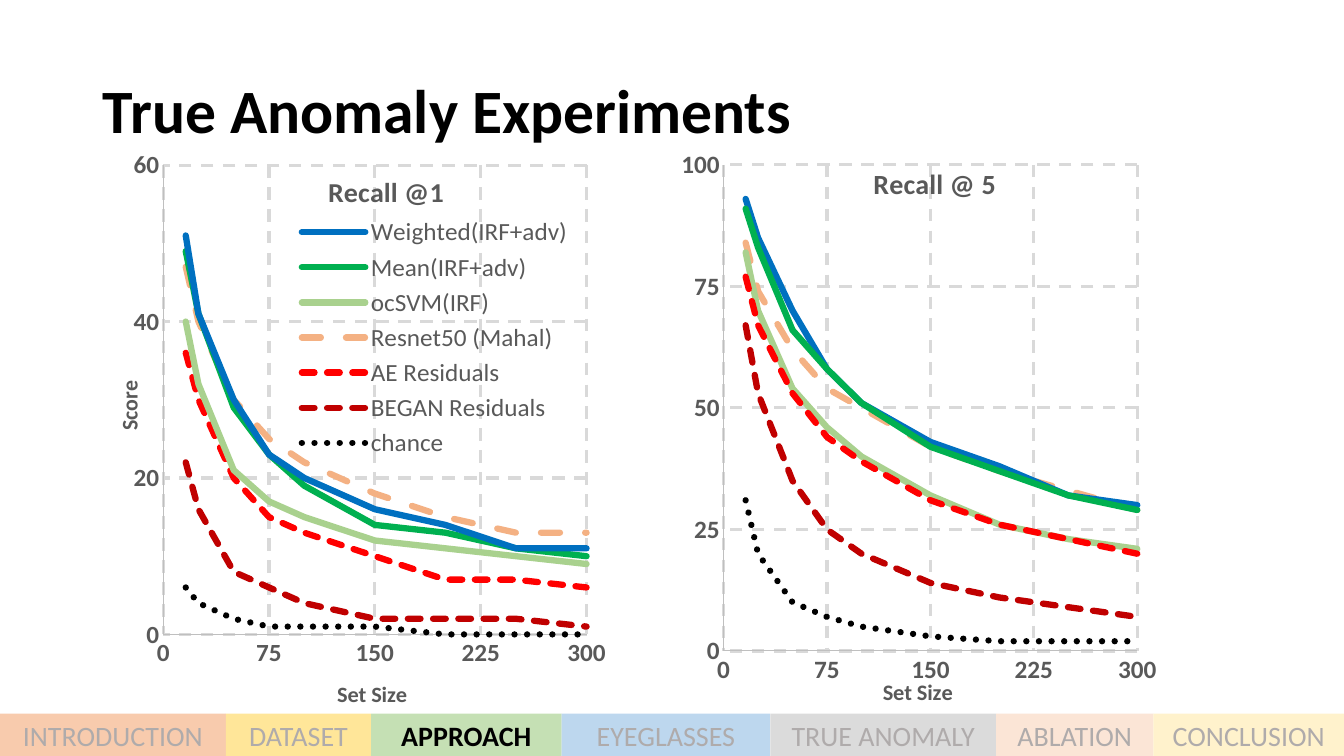
"""Build the "True Anomaly Experiments" slide with two recall charts and a section bar."""
from dataclasses import dataclass

from lxml import etree
from pptx import Presentation
from pptx import util as u
from pptx.chart.data import XyChartData
from pptx.dml.color import RGBColor
from pptx.enum import chart as charts, dml, shapes, text
from pptx.oxml.ns import qn


@dataclass(frozen=True)
class Theme:
    font: str = "Calibri"
    black: str = "000000"
    muted: str = "AFABAB"
    label: str = "595959"
    axis: str = "BFBFBF"
    grid: str = "D9D9D9"
    title_size: int = 44
    section_size: int = 20
    chart_title_size: int = 20
    axis_title_size: int = 16
    label_size: int = 18
    curve_width: float = 4.5
    grid_width: float = 2.25
    axis_width: float = 0.75


theme = Theme()


def style_font(font, size, color, bold=False):
    font.name = theme.font
    font.size = u.Pt(size)
    font.bold = bold
    font.color.rgb = RGBColor.from_string(color)


def set_layout(element, index, **settings):
    layout = element.find(qn("c:layout"))
    if layout is None:
        layout = etree.Element(qn("c:layout"))
        element.insert(index, layout)
    manual = etree.SubElement(layout, qn("c:manualLayout"))
    for name, value in settings.items():
        etree.SubElement(manual, qn(f"c:{name}")).set("val", str(value))


set_sizes = [16, 25, 50, 75, 100, 150, 200, 250, 300]
curve_styles = {
    "Weighted(IRF+adv)": ("0070C0", None),
    "Mean(IRF+adv)": ("00B050", None),
    "ocSVM(IRF)": ("A9D18E", None),
    "Resnet50 (Mahal)": ("F4B183", dml.MSO_LINE.DASH),
    "AE Residuals": ("FF0000", dml.MSO_LINE.SQUARE_DOT),
    "BEGAN Residuals": ("C00000", dml.MSO_LINE.SQUARE_DOT),
    "chance": (theme.black, dml.MSO_LINE.ROUND_DOT),
}
recall_at_5 = {
    "chance": [31, 20, 10, 7, 5, 3, 2, 2, 2],
    "AE Residuals": [77, 67, 53, 44, 39, 31, 26, 23, 20],
    "BEGAN Residuals": [67, 53, 35, 25, 20, 14, 11, 9, 7],
    "Mean(IRF+adv)": [91, 83, 66, 58, 51, 42, 37, 32, 29],
    "ocSVM(IRF)": [82, 70, 54, 46, 40, 32, 26, 23, 21],
    "Weighted(IRF+adv)": [93, 85, 70, 58, 51, 43, 38, 32, 30],
    "Resnet50 (Mahal)": [84, 74, 62, 54, 50, 42, 37, 33, 29],
}
recall_at_1 = {
    "Weighted(IRF+adv)": [51, 41, 30, 23, 20, 16, 14, 11, 11],
    "Mean(IRF+adv)": [49, 41, 29, 23, 19, 14, 13, 11, 10],
    "ocSVM(IRF)": [40, 32, 21, 17, 15, 12, 11, 10, 9],
    "Resnet50 (Mahal)": [47, 40, 30, 25, 22, 18, 15, 13, 13],
    "AE Residuals": [36, 30, 20, 15, 13, 10, 7, 7, 6],
    "BEGAN Residuals": [22, 16, 8, 6, 4, 2, 2, 2, 1],
    "chance": [6, 4, 2, 1, 1, 1, 0, 0, 0],
}
sections = [
    ("INTRODUCTION", 2.24, "F8CBAD"),
    ("DATASET", 1.44, "FFE699"),
    ("APPROACH", 1.89, "C5E0B4"),
    ("EYEGLASSES", 2.07, "BDD7EE"),
    ("TRUE ANOMALY", 2.24, "DBDBDB"),
    ("ABLATION", 1.56, "FBE5D6"),
    ("CONCLUSION", 1.89, "FFF2CC"),
]
current_section = "APPROACH"

presentation = Presentation()
presentation.slide_width = u.Inches(13.33)
presentation.slide_height = u.Inches(7.5)
slide = presentation.slides.add_slide(presentation.slide_layouts[5])

title = slide.shapes.title
title.left, title.top = u.Inches(0.92), u.Inches(0.4)
title.width, title.height = u.Inches(11.5), u.Inches(1.45)
title.text_frame.auto_size = text.MSO_AUTO_SIZE.NONE
title.text_frame.vertical_anchor = text.MSO_ANCHOR.MIDDLE
paragraph = title.text_frame.paragraphs[0]
paragraph.alignment = text.PP_ALIGN.LEFT
paragraph.line_spacing = 0.9
run = paragraph.add_run()
run.text = "True Anomaly Experiments"
style_font(run.font, theme.title_size, theme.black, bold=True)

section_left = 0
for name, width, color in sections:
    shape = slide.shapes.add_shape(
        shapes.MSO_SHAPE.RECTANGLE, u.Inches(section_left), u.Inches(7.08), u.Inches(width), u.Inches(0.42))
    section_left += width
    shape.shadow.inherit = False
    shape.fill.solid()
    shape.fill.fore_color.rgb = RGBColor.from_string(color)
    shape.line.fill.background()
    shape.text_frame.word_wrap = False
    shape.text_frame.vertical_anchor = text.MSO_ANCHOR.MIDDLE
    paragraph = shape.text_frame.paragraphs[0]
    paragraph.alignment = text.PP_ALIGN.CENTER
    run = paragraph.add_run()
    run.text = name
    is_current = name == current_section
    style_font(run.font, theme.section_size, theme.black if is_current else theme.muted, is_current)

panels = [
    dict(title="Recall @ 5", curves=recall_at_5, box=(6.51, 1.47, 5.13, 5.61), maximum=100, step=25,
         plot=(0.13, 0.03, 0.8, 0.87), title_at=(0.41, 0.02), size_at=(0.43, 0.94), with_key=False),
    dict(title="Recall @1", curves=recall_at_1, box=(1.04, 1.49, 5.03, 5.61), maximum=60, step=20,
         plot=(0.115, 0.015, 0.835, 0.85), title_at=(0.43, 0.02), size_at=(0.45, 0.94), with_key=True),
]
for panel in panels:
    data = XyChartData()
    for number, (name, scores) in enumerate(panel["curves"].items(), 1):
        series = data.add_series(name if panel["with_key"] else f"Series {number}")
        for size, score in zip(set_sizes, scores):
            series.add_data_point(size, score)
    frame = slide.shapes.add_chart(
        charts.XL_CHART_TYPE.XY_SCATTER_LINES_NO_MARKERS, *map(u.Inches, panel["box"]), data)
    chart = frame.chart
    style_font(chart.font, theme.label_size, theme.label)
    chart.plots[0].vary_by_categories = False

    for series, name in zip(chart.plots[0].series, panel["curves"]):
        color, dash = curve_styles[name]
        series.smooth = False
        line = series.format.line
        line.width = u.Pt(theme.curve_width)
        line.color.rgb = RGBColor.from_string(color)
        if dash:
            line.dash_style = dash
        line._get_or_add_ln().set("cap", "rnd")

    x_axis, y_axis = chart.category_axis, chart.value_axis
    for axis, maximum, step in ((x_axis, 300, 75), (y_axis, panel["maximum"], panel["step"])):
        axis.minimum_scale, axis.maximum_scale, axis.major_unit = 0, maximum, step
        axis.major_tick_mark = axis.minor_tick_mark = charts.XL_TICK_MARK.NONE
        style_font(axis.tick_labels.font, theme.label_size, theme.label, bold=True)
        axis.format.line.width = u.Pt(theme.axis_width)
        axis.format.line.color.rgb = RGBColor.from_string(theme.axis)
        axis.has_major_gridlines = True
        grid = axis.major_gridlines.format.line
        grid.width = u.Pt(theme.grid_width)
        grid.color.rgb = RGBColor.from_string(theme.grid)
        grid.dash_style = dml.MSO_LINE.DASH

    headings = [
        (chart.chart_title, panel["title"], theme.chart_title_size, panel["title_at"]),
        (x_axis.axis_title, "Set Size", theme.axis_title_size, panel["size_at"]),
    ]
    if panel["with_key"]:
        headings.append((y_axis.axis_title, "Score", theme.axis_title_size, (0.01, 0.4)))
        y_axis.axis_title.text_frame._txBody.bodyPr.set("rot", "-5400000")
    else:
        y_axis.has_title = False
    for heading, words, size, (x, y) in headings:
        run = heading.text_frame.paragraphs[0].add_run()
        run.text = words
        style_font(run.font, size, theme.label, bold=True)
        set_layout(heading._element, 1, xMode="edge", yMode="edge", x=x, y=y)

    x, y, width, height = panel["plot"]
    set_layout(chart._chartSpace.chart.plotArea, 0, layoutTarget="inner",
               xMode="edge", yMode="edge", x=x, y=y, w=width, h=height)
    chart.has_legend = panel["with_key"]
    if panel["with_key"]:
        chart.legend.position = charts.XL_LEGEND_POSITION.RIGHT
        chart.legend.include_in_layout = False
        style_font(chart.legend.font, theme.label_size, theme.label)
        set_layout(chart.legend._element, 1, xMode="edge", yMode="edge", x=0.365, y=0.1, w=0.57, h=0.455)

presentation.save("out.pptx")
